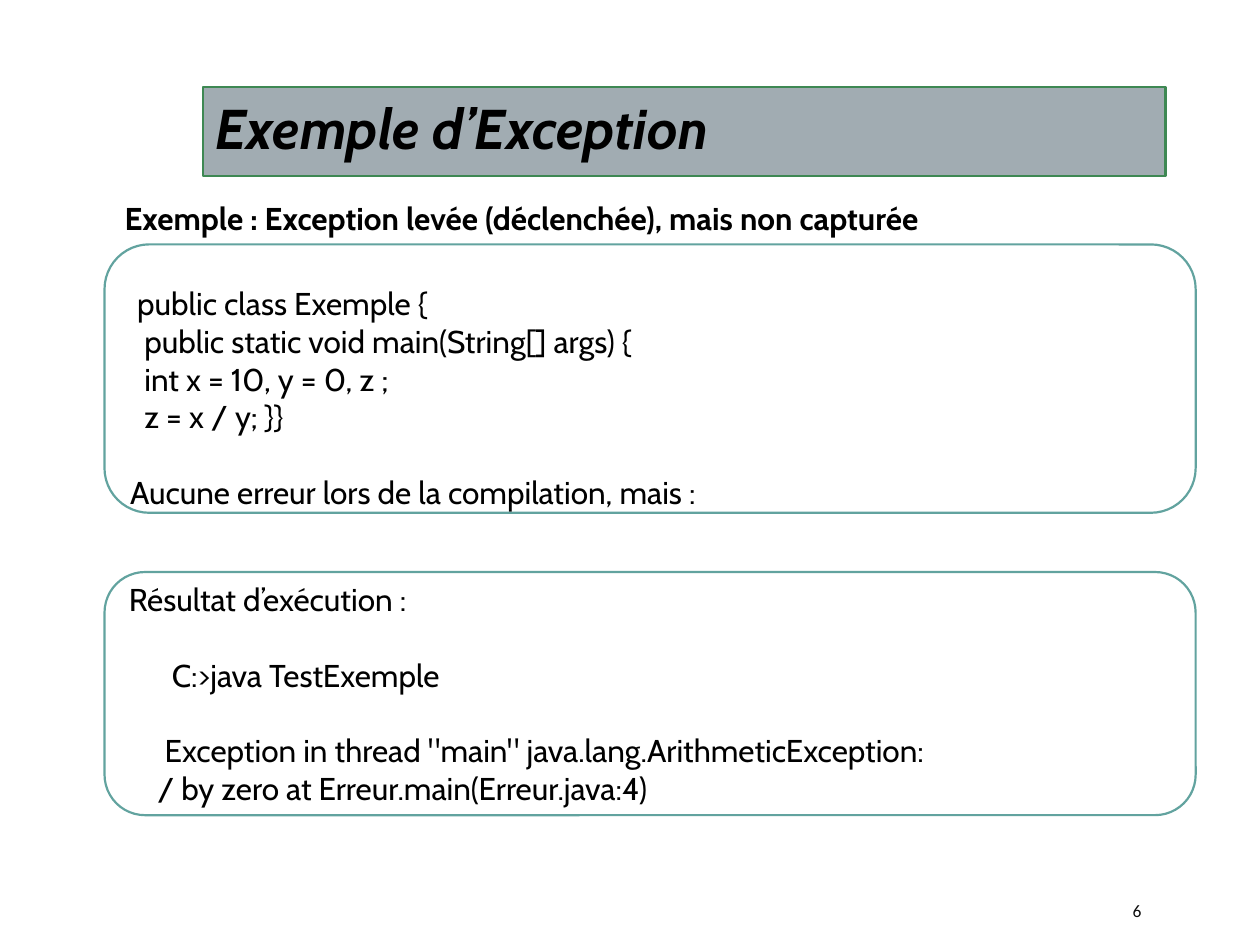
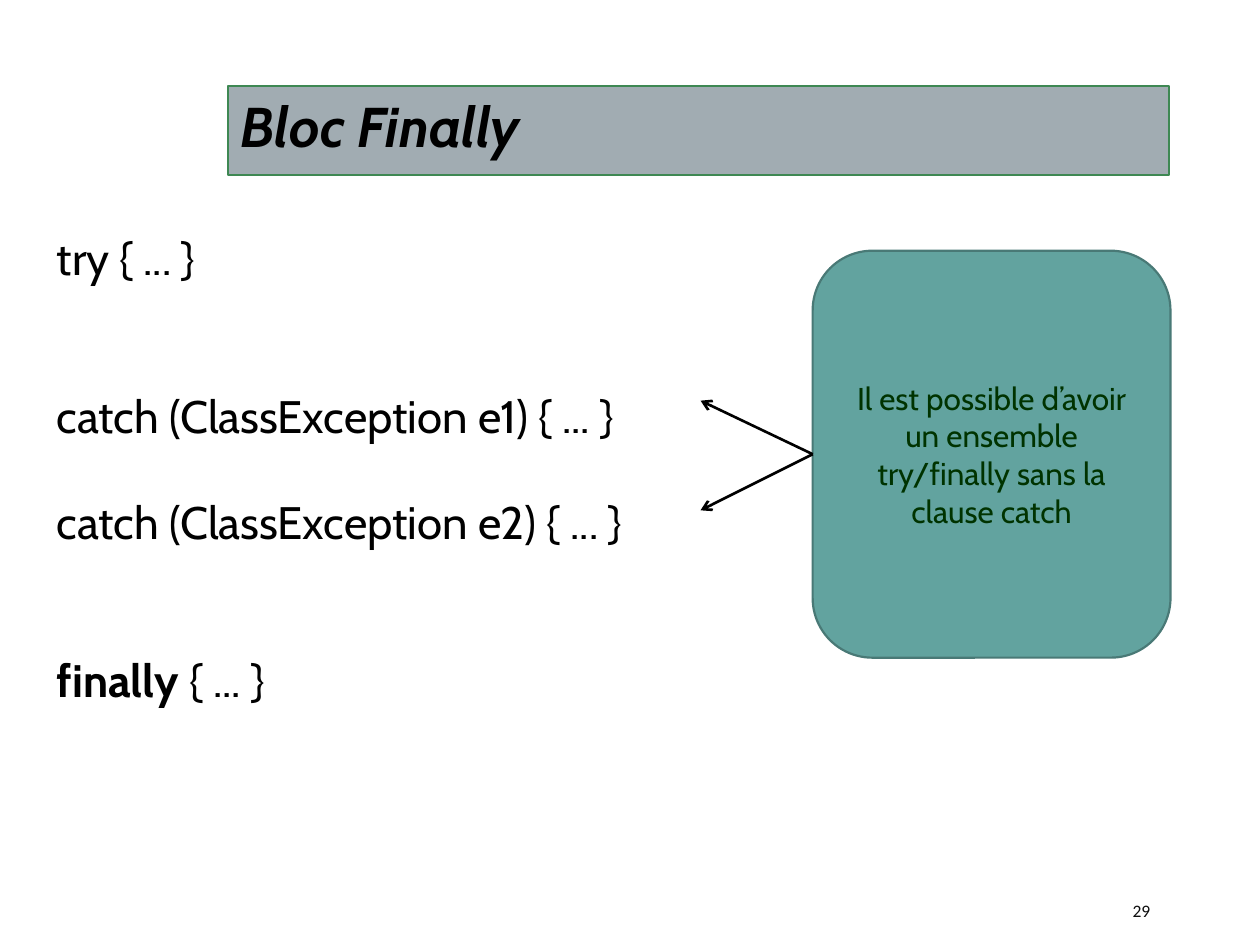
from lxml import etree
from pptx import Presentation
from pptx import util as u
from pptx.dml.color import RGBColor
from pptx.enum import shapes, text
from pptx.oxml import ns

HUES = {
    "ink": "000000", "page": "0D0D0D", "paper": "FFFFFF",
    "band": "A1ACB2", "green": "3E8853",
    "teal": "62A39F", "edge": "497976", "moss": "003300",
}
LEFT, MID = text.PP_ALIGN.LEFT, text.PP_ALIGN.CENTER
TOP, CORE = text.MSO_ANCHOR.TOP, text.MSO_ANCHOR.MIDDLE
COLS, ROWS = 100, 75
SPACE = 4.1
LEAD = 1.2


def hue(name):
    return RGBColor.from_string(HUES[name])


class Deck:
    def __init__(self):
        self.show = Presentation()
        self.show.slide_width = u.Inches(10)
        self.show.slide_height = u.Inches(7.5)
        self.font = "Cabin"
        self.slide = None

    def grid(self, left, top, width, height):
        col = self.show.slide_width / COLS
        row = self.show.slide_height / ROWS
        return [int(n * unit) for n, unit in
                zip((left, top, width, height), (col, row, col, row))]

    def place(self, shape, area):
        shape.left, shape.top, shape.width, shape.height = self.grid(*area)

    def paint(self, shape, fill, line):
        shape.fill.solid()
        shape.fill.fore_color.rgb = hue(fill)
        shape.line.color.rgb = hue(line)
        shape.line.width = u.Pt(1.25)

    def letter(self, shape, lines, size=18, color="ink", font=None, bold=False,
               italic=False, align=LEFT, anchor=TOP, tight=1.0, before=0):
        frame = shape.text_frame
        frame.word_wrap = True
        frame.auto_size = text.MSO_AUTO_SIZE.NONE
        frame.vertical_anchor = anchor
        step = size * LEAD * tight + before
        for i, (words, inset, blanks) in enumerate(lines):
            para = frame.paragraphs[0] if i == 0 else frame.add_paragraph()
            para.alignment = align
            para.line_spacing = tight
            para.space_before = u.Pt(before + blanks * step)
            props = para._p.get_or_add_pPr()
            props.set("marL", str(u.Pt(inset * SPACE)))
            props.set("indent", "0")
            etree.SubElement(props, ns.qn("a:buNone"))
            face = para.font
            face.name, face.size = font or self.font, u.Pt(size)
            face.bold, face.italic = bold, italic
            face.color.rgb = hue(color)
            for j, part in enumerate(words.split("**")):
                if part:
                    run = para.add_run()
                    run.text = part
                    if j % 2:
                        run.font.bold = True

    def start(self, layout, title, area, page):
        self.slide = self.show.slides.add_slide(self.show.slide_layouts[layout])
        head = self.slide.shapes.title
        self.place(head, area)
        self.paint(head, "band", "green")
        self.letter(head, [(title, 0, 0)], size=32, bold=True, italic=True)
        self.label(page, (88.9, 70.8, 8, 3), size=10, color="page",
                   font="Calibri", anchor=CORE)

    def label(self, words, area, **style):
        box = self.slide.shapes.add_textbox(*self.grid(*area))
        self.letter(box, [(words, 0, 0)], **style)

    def body(self, lines, area, **style):
        box = self.slide.placeholders[1]
        self.place(box, area)
        self.letter(box, lines, **style)

    def panel(self, lines, area, fill="paper", line="teal", drop=None, **style):
        box = self.slide.shapes.add_shape(
            shapes.MSO_SHAPE.ROUNDED_RECTANGLE, *self.grid(*area))
        box.shadow.inherit = False
        self.paint(box, fill, line)
        self.letter(box, lines, anchor=CORE, **style)
        if drop:
            box.text_frame.margin_top = self.grid(0, drop, 0, 0)[1]
            box.text_frame.margin_bottom = 0
        return box

    def arrow(self, box, col, row):
        x, y = self.grid(col, row, 0, 0)[:2]
        link = self.slide.shapes.add_connector(
            shapes.MSO_CONNECTOR.STRAIGHT, box.left, box.top, x, y)
        link.begin_connect(box, 1)
        link.line.color.rgb = hue("ink")
        link.line.width = u.Pt(1.5)
        props = link._element.spPr
        etree.SubElement(props.find(ns.qn("a:ln")), ns.qn("a:tailEnd"), type="arrow")
        etree.SubElement(props, ns.qn("a:effectLst"))


def sample(deck):
    deck.start(5, "Exemple d’Exception", (16.1, 6.9, 76.4, 7.1), "6")
    deck.label("Exemple : Exception levée (déclenchée), mais non capturée",
               (8.9, 15.3, 81.3, 4), bold=True)
    deck.panel([
        ("public class Exemple {", 1, 0),
        ("public static void main(String[] args) {", 2, 0),
        ("int x = 10, y = 0, z ;", 2, 0),
        ("z = x / y; }}", 2, 0),
        ("Aucune erreur lors de la compilation, mais :", 0, 1),
    ], (8.3, 19.4, 86.6, 21.3), drop=3)
    deck.panel([
        ("Résultat d’exécution :", 0, 0),
        ("C:>java TestExemple", 6, 1),
        ('Exception in thread "main" java.lang.ArithmeticException:', 5, 1),
        ("/ by zero at Erreur.main(Erreur.java:4)", 4, 0),
    ], (8.3, 45.4, 86.6, 19.3))


def finish(deck):
    deck.start(1, "Bloc Finally", (18.1, 6.8, 74.7, 7.1), "29")
    deck.body([
        ("try { ... }", 0, 0),
        ("catch (ClassException e1) { ... }", 0, 2),
        ("catch (ClassException e2) { ... }", 0, 1),
        ("**finally** { ... }", 0, 2),
    ], (3.5, 18.6, 84.3, 48.8), size=26, tight=0.8, before=5.2)
    note = deck.panel(
        [("Il est possible d’avoir un ensemble try/finally sans la clause catch", 0, 0)],
        (64.5, 19.9, 28.4, 32.3), fill="teal", line="edge", color="moss", align=MID)
    for row in (31.8, 40.5):
        deck.arrow(note, 55.6, row)


def main():
    deck = Deck()
    sample(deck)
    finish(deck)
    deck.show.save("out.pptx")


if __name__ == "__main__":
    main()
